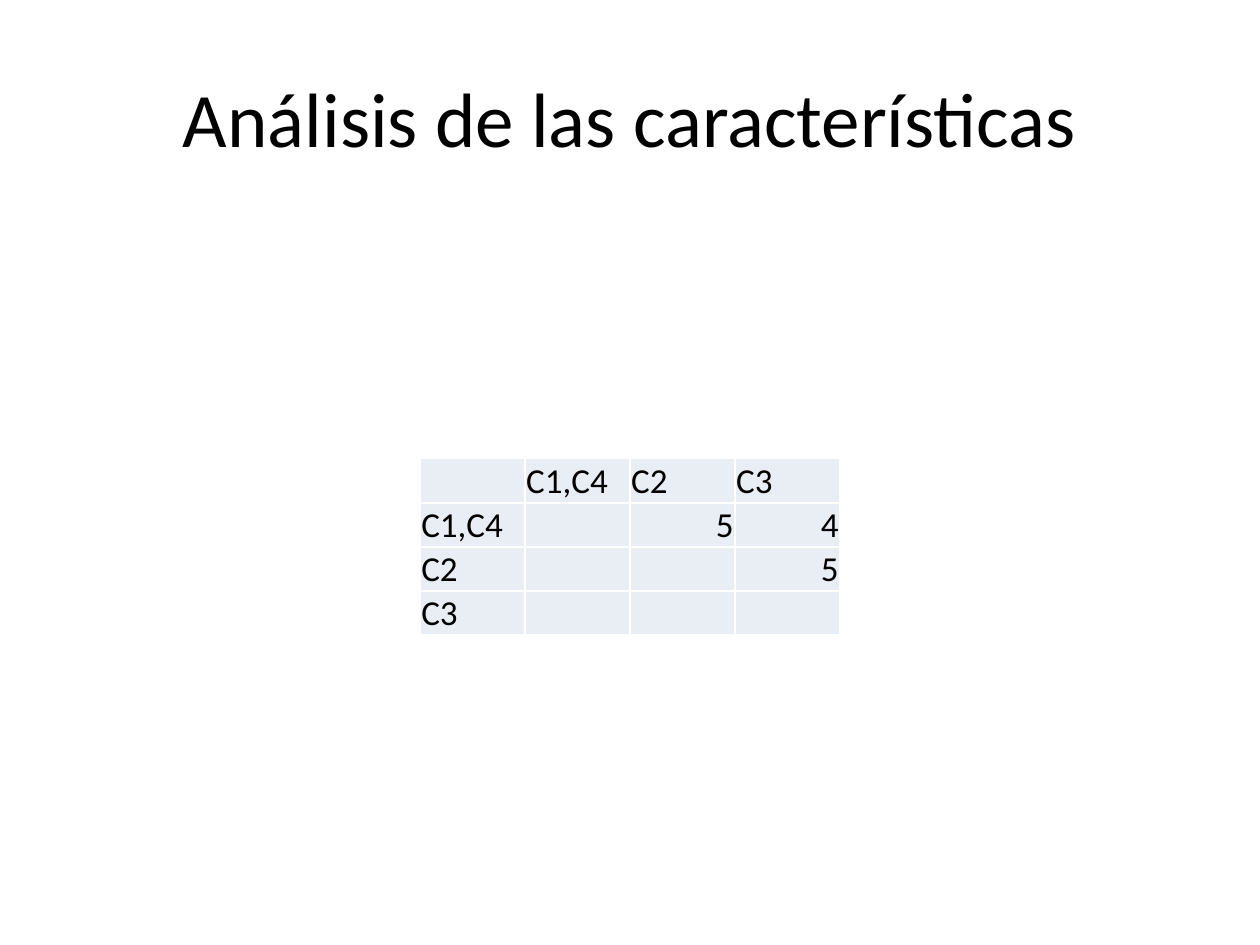
from lxml import etree
from pptx import Presentation
from pptx.dml.color import RGBColor
from pptx.enum.text import MSO_ANCHOR, PP_ALIGN
from pptx.oxml.ns import qn
from pptx.util import Inches, Pt

LEFT, CENTER, RIGHT = PP_ALIGN.LEFT, PP_ALIGN.CENTER, PP_ALIGN.RIGHT
MIDDLE, BOTTOM = MSO_ANCHOR.MIDDLE, MSO_ANCHOR.BOTTOM

BLACK = RGBColor(0x00, 0x00, 0x00)
WHITE = RGBColor(0xFF, 0xFF, 0xFF)
PALE_BLUE = RGBColor(0xE9, 0xED, 0xF4)

FONT = "Calibri"
WIDTH, HEIGHT = Inches(10), Inches(7.5)
ROW_HEIGHT = Inches(0.35)
ROWS = [
    ["", "C1,C4", "C2", "C3"],
    ["C1,C4", "", "5", "4"],
    ["C2", "", "", "5"],
    ["C3", "", "", ""],
]


def write(tf, text, size, align):
    """Put one formatted run in the first paragraph of a text frame."""
    p = tf.paragraphs[0]
    p.alignment = align
    r = p.add_run()
    r.text = text
    r.font.name = FONT
    r.font.size = Pt(size)
    r.font.color.rgb = BLACK


def add_title(s, text):
    """Add the centred title across the top of the slide."""
    sp = s.shapes.add_textbox(int(WIDTH * 0.05), int(HEIGHT * 0.04),
                              int(WIDTH * 0.9), Inches(1.25))
    tf = sp.text_frame
    tf.word_wrap = True
    tf.vertical_anchor = MIDDLE
    write(tf, text, 44, CENTER)


def add_borders(cell, color, width):
    """Draw a solid line on all four sides of a cell."""
    tc_pr = cell._tc.get_or_add_tcPr()
    for side in ("a:lnL", "a:lnR", "a:lnT", "a:lnB"):
        ln = etree.SubElement(tc_pr, qn(side), w=str(Pt(width)))
        fill = etree.SubElement(ln, qn("a:solidFill"))
        etree.SubElement(fill, qn("a:srgbClr"), val=str(color))


def style_cell(cell, text):
    """Format a cell, with numbers to the right and labels to the left."""
    add_borders(cell, WHITE, 1)
    cell.fill.solid()
    cell.fill.fore_color.rgb = PALE_BLUE
    cell.vertical_anchor = BOTTOM
    cell.margin_left = cell.margin_right = cell.margin_top = Inches(0.01)
    cell.margin_bottom = 0
    if text:
        write(cell.text_frame, text, 20, RIGHT if text.isdigit() else LEFT)


def add_matrix(s, rows):
    """Add the table of features, one third of the slide wide."""
    width = WIDTH // 3
    frame = s.shapes.add_table(len(rows), len(rows[0]), width, Inches(3.64),
                               width, ROW_HEIGHT * len(rows))
    table = frame.table
    table.first_row = table.horz_banding = False
    for i, row in enumerate(rows):
        table.rows[i].height = ROW_HEIGHT
        for j, text in enumerate(row):
            style_cell(table.cell(i, j), text)


def main():
    """Build the slide and save it."""
    prs = Presentation()
    prs.slide_width, prs.slide_height = WIDTH, HEIGHT
    s = prs.slides.add_slide(prs.slide_layouts[6])
    add_title(s, "Análisis de las características")
    add_matrix(s, ROWS)
    prs.save("out.pptx")


main()
